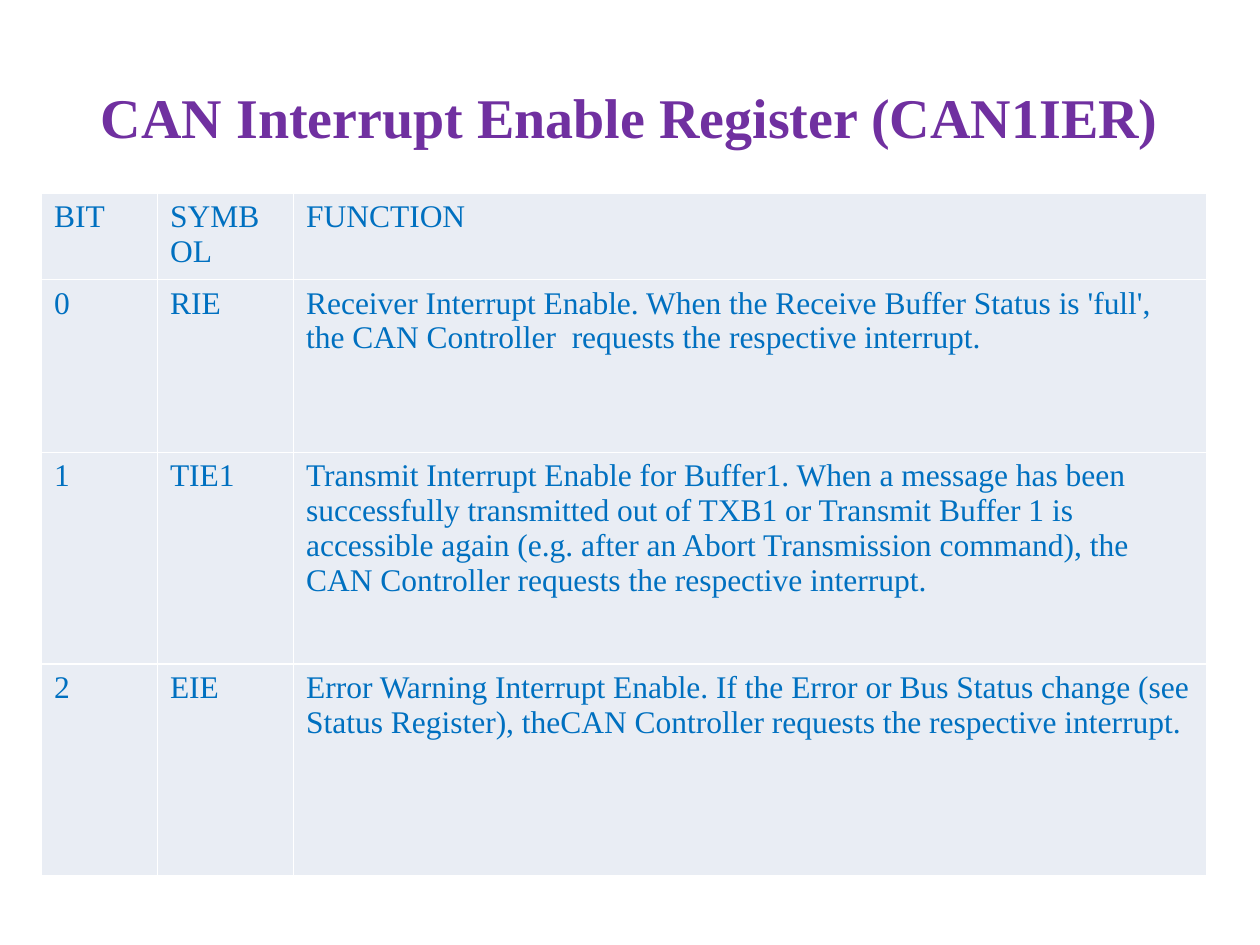
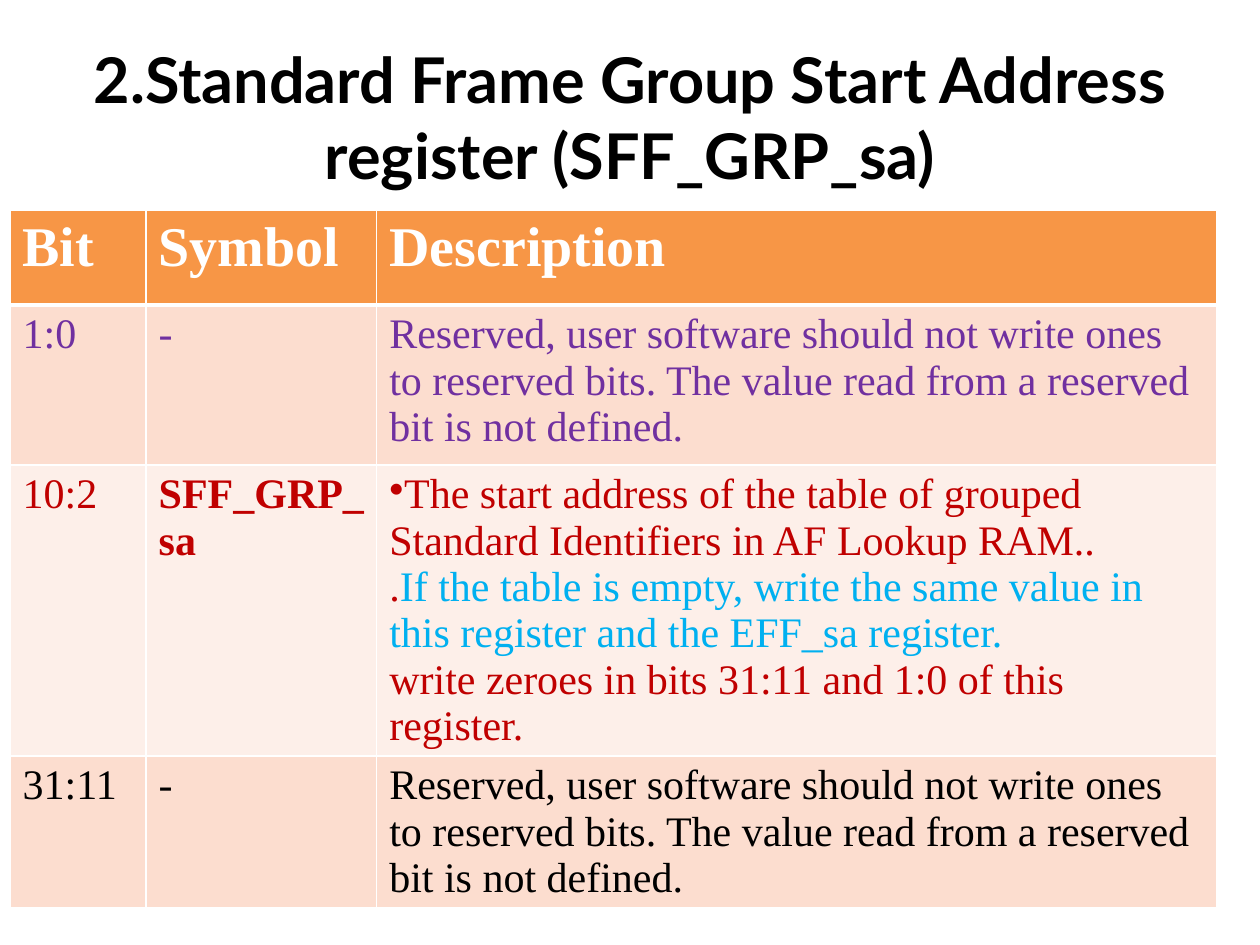
from dataclasses import dataclass

from lxml import etree
from pptx import Presentation, util as u
from pptx.dml.color import RGBColor
from pptx.enum import text
from pptx.oxml.ns import qn


@dataclass(frozen=True)
class Theme:
    serif: str = "Times New Roman"
    sans: str = "Lato"
    white: str = "FFFFFF"
    black: str = "000000"
    purple: str = "7030A0"
    blue: str = "0070C0"
    sky: str = "00B0F0"
    red: str = "C00000"
    mist: str = "E9EDF4"
    orange: str = "F79646"
    peach: str = "FCDDCF"
    cream: str = "FDEFE9"
    small: int = 18
    body: int = 24
    head: int = 32
    large: int = 36
    thin: int = 1
    thick: int = 3


@dataclass
class Row:
    """A cell holds a string or a list of paragraphs."""
    height: float
    cells: tuple
    fill: str
    color: str
    size: int
    bold: tuple = ()


@dataclass
class Para:
    runs: list
    bullet: str = ""


def write(frame, content, *, font, size, color, bold=False, align=None):
    """Fill a frame; a run is a string, or a pair of string and colour."""
    paras = [Para([content])] if isinstance(content, str) else content
    for i, item in enumerate(paras):
        para = frame.add_paragraph() if i else frame.paragraphs[0]
        if align is not None:
            para.alignment = align
        if item.bullet:
            props = para._p.get_or_add_pPr()
            props.set("marL", "0")
            props.set("indent", "0")
            etree.SubElement(props, qn("a:buChar"), char=item.bullet)
        for part in item.runs:
            words, tint = (part, color) if isinstance(part, str) else part
            run = para.add_run()
            run.text = words
            run.font.name = font
            run.font.size = u.Pt(size)
            run.font.bold = bold
            run.font.color.rgb = RGBColor.from_string(tint)


def edge(cell, side, width, color):
    props = cell._tc.get_or_add_tcPr()
    line = etree.SubElement(props, qn(f"a:ln{side}"), w=str(u.Pt(width)))
    fill = etree.SubElement(line, qn("a:solidFill"))
    etree.SubElement(fill, qn("a:srgbClr"), val=color)


class Deck:
    def __init__(self, theme):
        self.theme = theme
        self.file = Presentation()
        self.file.slide_width = u.Inches(10)
        self.file.slide_height = u.Inches(7.5)
        self.slide = None

    def start(self, title, **style):
        """Add a slide with its title."""
        self.slide = self.file.slides.add_slide(self.file.slide_layouts[5])
        box = self.slide.shapes.title
        box.left, box.top = u.Inches(0.5), u.Inches(0.3)
        box.width, box.height = u.Inches(9), u.Inches(1.25)
        frame = box.text_frame
        frame.word_wrap = True
        frame.auto_size = text.MSO_AUTO_SIZE.NONE
        frame.vertical_anchor = text.MSO_ANCHOR.MIDDLE
        write(frame, title, bold=True, align=text.PP_ALIGN.CENTER, **style)

    def table(self, left, top, widths, rows, rule):
        """Add a table; rule is the line width below its first row."""
        high = sum(row.height for row in rows)
        grid = self.slide.shapes.add_table(
            len(rows), len(widths), u.Inches(left), u.Inches(top),
            u.Inches(sum(widths)), u.Inches(high)).table
        grid.first_row = grid.horz_banding = False
        for col, width in zip(grid.columns, widths):
            col.width = u.Inches(width)
        for r, row in enumerate(rows):
            grid.rows[r].height = u.Inches(row.height)
            for c, content in enumerate(row.cells):
                cell = grid.cell(r, c)
                self.frame(cell, r, rule)
                cell.fill.solid()
                cell.fill.fore_color.rgb = RGBColor.from_string(row.fill)
                write(cell.text_frame, content, font=self.theme.serif,
                      size=row.size, color=row.color, bold=c in row.bold)

    def frame(self, cell, r, rule):
        """Draw the four borders of a cell in row r."""
        thin = self.theme.thin
        sides = {"L": thin, "R": thin,
                 "T": rule if r == 1 else thin,
                 "B": rule if r == 0 else thin}
        for side, width in sides.items():
            edge(cell, side, width, self.theme.white)


def enable(deck):
    t = deck.theme
    deck.start("CAN Interrupt Enable Register (CAN1IER)",
               font=t.serif, size=t.head, color=t.purple)
    bits = [
        (0.69, ("BIT", "SYMBOL", "FUNCTION")),
        (1.37, ("0", "RIE",
                "Receiver Interrupt Enable. When the Receive Buffer Status "
                "is 'full', the CAN Controller  requests the respective "
                "interrupt.")),
        (1.68, ("1", "TIE1",
                "Transmit Interrupt Enable for Buffer1. When a message has "
                "been successfully transmitted out of TXB1 or Transmit "
                "Buffer 1 is accessible again (e.g. after an Abort "
                "Transmission command), the CAN Controller requests the "
                "respective interrupt.")),
        (1.68, ("2", "EIE",
                "Error Warning Interrupt Enable. If the Error or Bus Status "
                "change (see Status Register), theCAN Controller requests "
                "the respective interrupt.")),
    ]
    rows = [Row(high, cells, t.mist, t.blue, t.small) for high, cells in bits]
    deck.table(0.33, 1.53, (0.92, 1.08, 7.25), rows, t.thin)


def address(deck):
    t = deck.theme
    deck.start("2.Standard Frame Group Start Address register (SFF_GRP_sa)",
               font=t.sans, size=t.large, color=t.black)
    unused = ("Reserved, user software should not write ones to reserved "
              "bits. The value read from a reserved bit is not defined.")
    start = [
        Para(["The start address of the table of grouped Standard "
              "Identifiers in AF Lookup RAM.."], bullet="•"),
        Para([".", ("If the table is empty, write the same value in this "
                    "register and the EFF_sa register.", t.sky)]),
        Para(["write zeroes in bits 31:11 and 1:0 of this register."]),
    ]
    rows = [
        Row(0.75, ("Bit", "Symbol", "Description"),
            t.orange, t.white, t.head, bold=(0, 1, 2)),
        Row(1.27, ("1:0", "-", unused), t.peach, t.purple, t.body),
        Row(2.31, ("10:2", "SFF_GRP_sa", start),
            t.cream, t.red, t.body, bold=(1,)),
        Row(1.13, ("31:11", "-", unused), t.peach, t.black, t.body),
    ]
    deck.table(0.08, 1.67, (1.08, 1.83, 6.67), rows, t.thick)


def main():
    deck = Deck(Theme())
    enable(deck)
    address(deck)
    deck.file.save("out.pptx")


if __name__ == "__main__":
    main()
